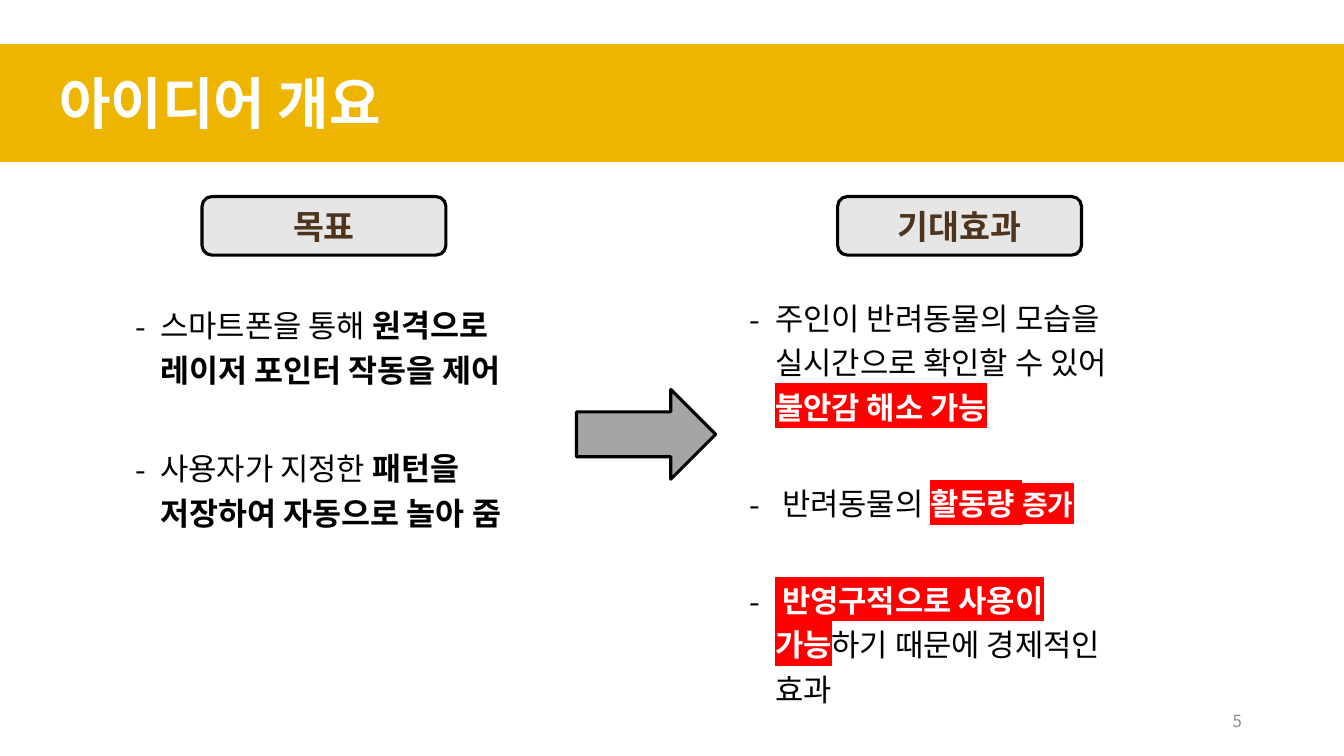
from dataclasses import dataclass

from lxml import etree
from pptx import Presentation
from pptx.dml.color import RGBColor
from pptx.enum import shapes as kinds, text as txt
from pptx.oxml import ns
from pptx.util import Pt

FONT = "Noto Sans CJK KR"
WHITE = RGBColor(0xFF, 0xFF, 0xFF)
BLACK = RGBColor(0, 0, 0)
GOLD = RGBColor(0xEE, 0xB5, 0x00)
BROWN = RGBColor(0x4E, 0x34, 0x1D)
PALE = RGBColor(0xE7, 0xE6, 0xE6)
GRAY = RGBColor(0xA5, 0xA5, 0xA5)
DIM = RGBColor(0x8C, 0x8C, 0x8C)
RED = RGBColor(0xFF, 0, 0)


@dataclass
class Box:
    x: float
    y: float
    w: float
    h: float


@dataclass
class Part:
    text: str
    size: float = 22
    bold: bool = False
    color: RGBColor = BLACK
    mark: RGBColor | None = None


@dataclass
class Panel:
    head: str
    tag: Box
    body: Box
    items: list[list[Part]]


def strong(text: str) -> Part:
    return Part(text, 22.5, True)


def red(text: str, size: float = 22) -> Part:
    return Part(text, size, True, WHITE, RED)


PANELS = [
    Panel("목표", Box(144.3, 140.4, 174.2, 41.8), Box(89.3, 209.5, 305.3, 227.5), [
        [Part("스마트폰을 통해 "), strong("원격으로 레이저 포인터 작동을 제어")],
        [Part("사용자가 지정한 "), strong("패턴을 저장하여 자동으로 놀아 줌")],
    ]),
    Panel("기대효과", Box(598.3, 140.4, 174.2, 41.8), Box(528.5, 205.2, 307.4, 309.6), [
        [Part("주인이 반려동물의 모습을 실시간으로 확인할 수 있어 "), red("불안감 해소 가능")],
        [Part(" 반려동물의 "), red("활동량 "), red("증가", 20)],
        [Part(" ", mark=RED), red("반영구적으로 사용이 가능"),
         Part("하기 때문에 경제적인 효과")],
    ]),
]


def write(para, text: str, *, size: float, color: RGBColor, bold: bool = False,
          mark: RGBColor | None = None, align=None) -> None:
    """Add one formatted run to a paragraph."""
    if align is not None:
        para.alignment = align
    run = para.add_run()
    run.text = text
    font = run.font
    font.size, font.bold = Pt(size), bold
    font.color.rgb = color
    props = run._r.get_or_add_rPr()
    props.set("kern", "0")
    if mark is not None:
        light = etree.SubElement(props, ns.qn("a:highlight"))
        etree.SubElement(light, ns.qn("a:srgbClr"), val=str(mark))
    font.name = FONT
    etree.SubElement(props, ns.qn("a:ea"), typeface=FONT)


def place(shape, box: Box) -> None:
    shape.left, shape.top = Pt(box.x), Pt(box.y)
    shape.width, shape.height = Pt(box.w), Pt(box.h)


def draw(slide, kind, box: Box, fill: RGBColor, line: RGBColor | None = None):
    """Add a flat preset shape."""
    shape = slide.shapes.add_shape(kind, Pt(box.x), Pt(box.y), Pt(box.w), Pt(box.h))
    shape.shadow.inherit = False
    shape.fill.solid()
    shape.fill.fore_color.rgb = fill
    if line is None:
        shape.line.fill.background()
    else:
        shape.line.color.rgb = line
        shape.line.width = Pt(2.25)
    return shape


def dash(para) -> None:
    """Give a paragraph a hanging dash bullet."""
    props = para._p.get_or_add_pPr()
    props.set("marL", str(Pt(18)))
    props.set("indent", str(-Pt(18)))
    etree.SubElement(props, ns.qn("a:buFont"), typeface=FONT)
    etree.SubElement(props, ns.qn("a:buChar"), char="-")


def fill_list(holder, panel: Panel) -> None:
    place(holder, panel.body)
    frame = holder.text_frame
    frame.auto_size = txt.MSO_AUTO_SIZE.NONE
    for i, parts in enumerate(panel.items):
        para = frame.add_paragraph() if i else frame.paragraphs[0]
        para.line_spacing = 1.2
        para.space_before = Pt(37.4 if i else 10)
        dash(para)
        for part in parts:
            write(para, part.text, size=part.size, color=part.color,
                  bold=part.bold, mark=part.mark)


def main() -> None:
    deck = Presentation()
    deck.slide_width, deck.slide_height = Pt(960), Pt(540)
    slide = deck.slides.add_slide(deck.slide_layouts[3])
    title, *lists = slide.placeholders

    # Title band, behind the title
    band = draw(slide, kinds.MSO_SHAPE.RECTANGLE, Box(0, 31.4, 960, 84.2), GOLD)
    title.element.addprevious(band.element)
    place(title, Box(26, 45.4, 930, 55.4))
    title.text_frame.auto_size = txt.MSO_AUTO_SIZE.NONE
    write(title.text_frame.paragraphs[0], " 아이디어 개요", size=40, color=WHITE,
          bold=True, align=txt.PP_ALIGN.LEFT)

    # Goal and effect panels
    for holder, panel in zip(lists, PANELS):
        fill_list(holder, panel)
        tag = draw(slide, kinds.MSO_SHAPE.ROUNDED_RECTANGLE, panel.tag, PALE, BLACK)
        tag.text_frame.vertical_anchor = txt.MSO_ANCHOR.MIDDLE
        write(tag.text_frame.paragraphs[0], panel.head, size=24, color=BROWN,
              bold=True, align=txt.PP_ALIGN.CENTER)

    # Arrow from goal to effect
    draw(slide, kinds.MSO_SHAPE.RIGHT_ARROW, Box(411.8, 278.2, 99.4, 64.1), GRAY, BLACK)

    # Page number
    page = slide.shapes.add_textbox(Pt(678.2), Pt(500.4), Pt(216), Pt(28.8))
    page.text_frame.word_wrap = True
    page.text_frame.vertical_anchor = txt.MSO_ANCHOR.MIDDLE
    write(page.text_frame.paragraphs[0], "5", size=12, color=DIM,
          align=txt.PP_ALIGN.RIGHT)

    deck.save("out.pptx")


if __name__ == "__main__":
    main()
